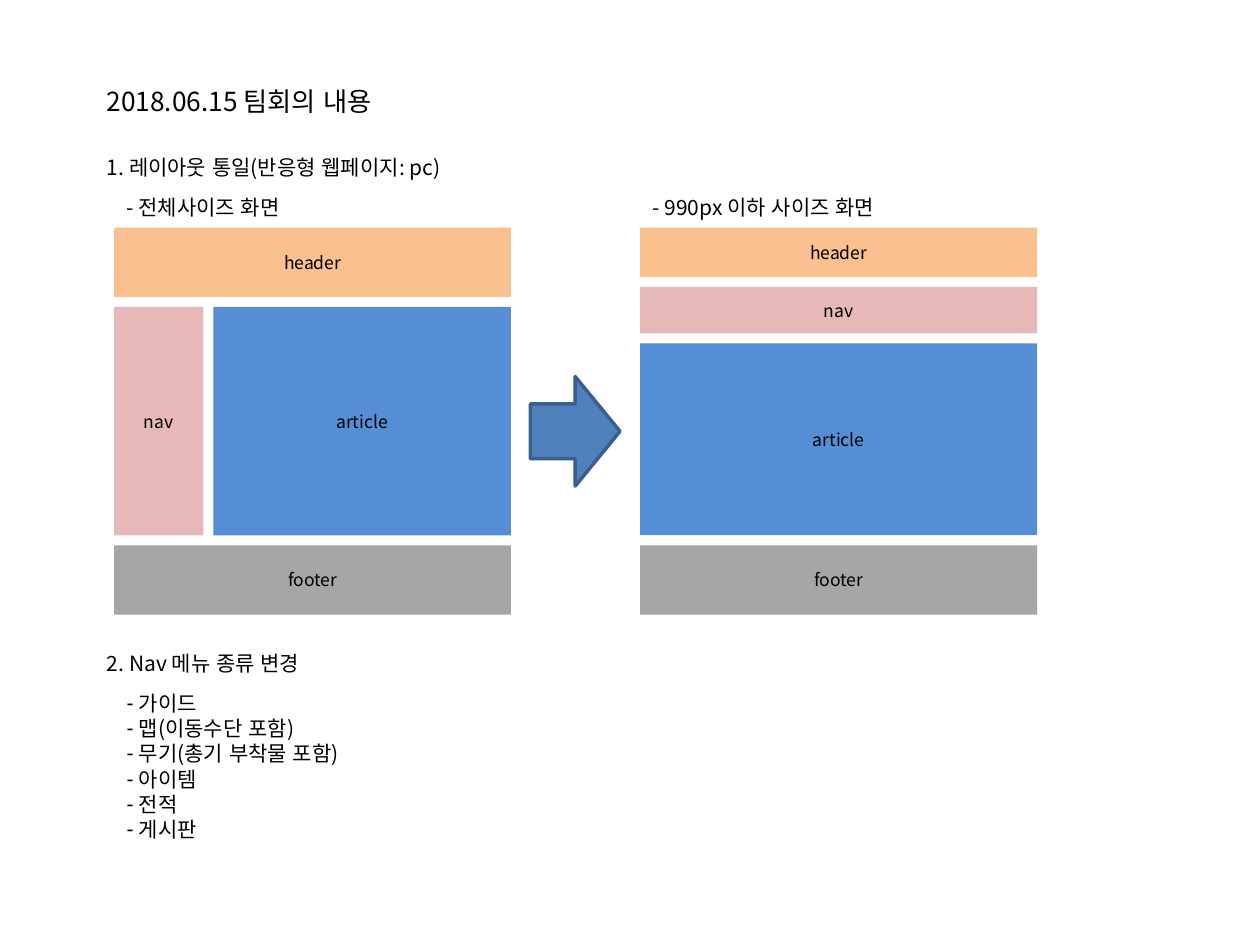
from pptx import Presentation
from pptx.dml.color import RGBColor
from pptx.enum.lang import MSO_LANGUAGE_ID as LANG
from pptx.enum.shapes import MSO_SHAPE as SHAPE
from pptx.enum.text import MSO_ANCHOR as ANCHOR, MSO_AUTO_SIZE as AUTO, PP_ALIGN as ALIGN
from pptx.oxml.ns import qn
from pptx.util import Pt
from lxml import etree

FONT = "Noto Sans CJK KR"
BLACK = RGBColor(0x00, 0x00, 0x00)
ORANGE = RGBColor(0xFA, 0xC0, 0x90)
PINK = RGBColor(0xE6, 0xB9, 0xB8)
BLUE = RGBColor(0x55, 0x8E, 0xD5)
GRAY = RGBColor(0xA6, 0xA6, 0xA6)
ARROW_FILL = RGBColor(0x4F, 0x81, 0xBD)
ARROW_LINE = RGBColor(0x3A, 0x5F, 0x8C)

GAP = 5.7          # space between the blocks of a page layout
FOOTER_H = 39.6
NAV_W = 51


def write(tf, *lines, size=12, align=ALIGN.LEFT, anchor=ANCHOR.TOP, bullet=None):
    """Fill a text frame with one paragraph per line."""
    tf.word_wrap = True
    tf.auto_size = AUTO.NONE
    tf.vertical_anchor = anchor
    tf.margin_left = tf.margin_right = Pt(7.2)
    tf.margin_top = tf.margin_bottom = Pt(3.6)
    for i, line in enumerate(lines):
        p = tf.paragraphs[0] if i == 0 else tf.add_paragraph()
        p.alignment = align
        p.space_before = p.space_after = Pt(0)
        p.line_spacing = Pt(size * 1.2)
        if bullet:
            pPr = p._p.get_or_add_pPr()
            pPr.set("marL", str(Pt(7)))
            pPr.set("indent", str(-Pt(7)))
            etree.SubElement(pPr, qn("a:buChar")).set("char", bullet)
        r = p.add_run()
        r.text = line
        r.font.size = Pt(size)
        r.font.color.rgb = BLACK
        r.font.name = FONT
        r.font.language_id = LANG.KOREAN
        ea = etree.SubElement(r._r.get_or_add_rPr(), qn("a:ea"))
        ea.set("typeface", FONT)


def place(sp, x, y, w, h):
    sp.left, sp.top, sp.width, sp.height = Pt(x), Pt(y), Pt(w), Pt(h)


def add_label(slide, text, x, y, w, h=21.6):
    sp = slide.shapes.add_textbox(Pt(x), Pt(y), Pt(w), Pt(h))
    write(sp.text_frame, text)


def add_block(slide, name, color, x, y, w, h):
    sp = slide.shapes.add_shape(SHAPE.RECTANGLE, Pt(x), Pt(y), Pt(w), Pt(h))
    sp.shadow.inherit = False
    sp.fill.solid()
    sp.fill.fore_color.rgb = color
    sp.line.fill.background()
    write(sp.text_frame, name, size=10, align=ALIGN.CENTER, anchor=ANCHOR.MIDDLE)


def add_full_layout(slide, x, y, w, h):
    """Wide page: nav stands to the left of the article."""
    mid_y = y + FOOTER_H + GAP
    mid_h = h - 2 * (FOOTER_H + GAP)
    article_x = NAV_W + GAP
    add_block(slide, "header", ORANGE, x, y, w, FOOTER_H)
    add_block(slide, "nav", PINK, x, mid_y, NAV_W, mid_h)
    add_block(slide, "article", BLUE, x + article_x, mid_y, w - article_x, mid_h)
    add_block(slide, "footer", GRAY, x, y + h - FOOTER_H, w, FOOTER_H)


def add_narrow_layout(slide, x, y, w, h):
    """Narrow page: all blocks are stacked."""
    header_h, nav_h = 28.2, 26.6
    article_h = h - header_h - nav_h - FOOTER_H - 3 * GAP
    for name, color, block_h in (("header", ORANGE, header_h), ("nav", PINK, nav_h),
                                 ("article", BLUE, article_h), ("footer", GRAY, FOOTER_H)):
        add_block(slide, name, color, x, y, w, block_h)
        y += block_h + GAP


def add_arrow(slide, x, y, w, h):
    sp = slide.shapes.add_shape(SHAPE.RIGHT_ARROW, Pt(x), Pt(y), Pt(w), Pt(h))
    sp.shadow.inherit = False
    sp.fill.solid()
    sp.fill.fore_color.rgb = ARROW_FILL
    sp.line.color.rgb = ARROW_LINE
    sp.line.width = Pt(2)


prs = Presentation()
prs.slide_width, prs.slide_height = Pt(720), Pt(540)
slide = prs.slides.add_slide(prs.slide_layouts[1])
title, menu = slide.placeholders[0], slide.placeholders[1]

# Title
place(title, 53.8, 45, 174.2, 25.2)
write(title.text_frame, "2018.06.15 팀회의 내용", size=15)

# Section 1: page layouts before and after
LEFT_X, RIGHT_X, PAGE_Y, PAGE_W, PAGE_H = 65.2, 365.8, 130.1, 226.8, 221.1
add_label(slide, "1. 레이아웃 통일(반응형 웹페이지: pc)", 54, 85, 222)
add_label(slide, "- 전체사이즈 화면", LEFT_X, 107.6, 113)
add_label(slide, "- 990px 이하 사이즈 화면", RIGHT_X, 107.6, 154)
add_full_layout(slide, LEFT_X, PAGE_Y, PAGE_W, PAGE_H)
add_narrow_layout(slide, RIGHT_X, PAGE_Y, PAGE_W, PAGE_H)
add_arrow(slide, 303.1, 215.2, 51.2, 62.6)

# Section 2: menu list
add_label(slide, "2. Nav 메뉴 종류 변경", 54, 368, 135.4)
place(menu, LEFT_X, 391, 153.4, 94.3)
write(menu.text_frame, "가이드", "맵(이동수단 포함)", "무기(총기 부착물 포함)",
      "아이템", "전적", "게시판", bullet="-")

prs.save("out.pptx")
